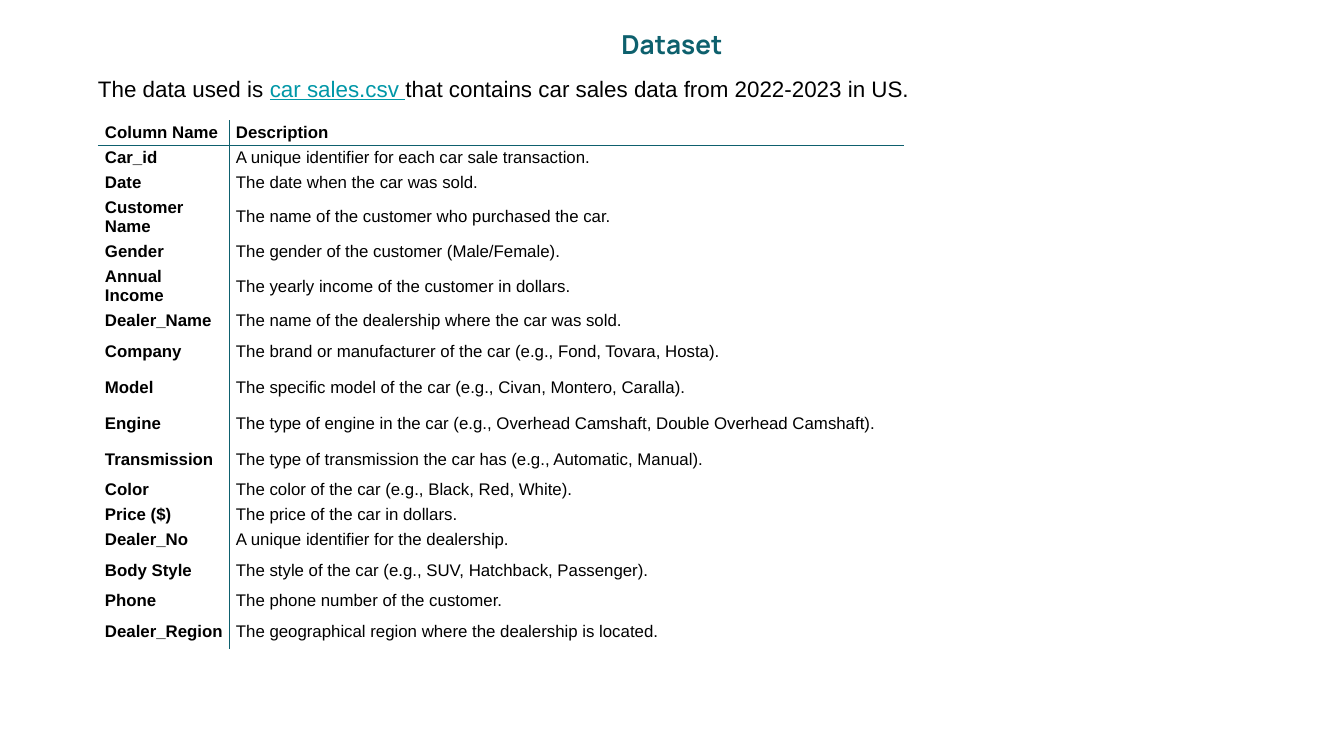
import pptx
import pptx.util
import pptx.dml.color
import pptx.enum.text
import pptx.oxml

COLORS = {"title": "0D606D", "rule": "0E606E", "link": "0097A7", "text": "000000"}
EMU_PER_PX = 9144000 / 1344
SHORT, TALL, DOUBLE = 25, 36, 44
FIELDS = [
    ("Column Name", "Description", SHORT),
    ("Car_id", "A unique identifier for each car sale transaction.", SHORT),
    ("Date", "The date when the car was sold.", SHORT),
    ("Customer Name", "The name of the customer who purchased the car.", DOUBLE),
    ("Gender", "The gender of the customer (Male/Female).", SHORT),
    ("Annual Income", "The yearly income of the customer in dollars.", DOUBLE),
    ("Dealer_Name", "The name of the dealership where the car was sold.", SHORT),
    ("Company", "The brand or manufacturer of the car (e.g., Fond, Tovara, Hosta).", TALL),
    ("Model", "The specific model of the car (e.g., Civan, Montero, Caralla).", TALL),
    ("Engine", "The type of engine in the car (e.g., Overhead Camshaft, Double Overhead Camshaft).", TALL),
    ("Transmission", "The type of transmission the car has (e.g., Automatic, Manual).", TALL),
    ("Color", "The color of the car (e.g., Black, Red, White).", SHORT),
    ("Price ($)", "The price of the car in dollars.", SHORT),
    ("Dealer_No", "A unique identifier for the dealership.", SHORT),
    ("Body Style", "The style of the car (e.g., SUV, Hatchback, Passenger).", TALL),
    ("Phone", "The phone number of the customer.", SHORT),
    ("Dealer_Region", "The geographical region where the dealership is located.", TALL),
]


def px(length):
    """Turn pixels into EMU."""
    return pptx.util.Emu(round(length * EMU_PER_PX))


def set_all(target, values):
    """Set every attribute named in a dict of format values."""
    for name, value in values.items():
        setattr(target, name, value)


def add_span(para, text, color="text", size=12, **font):
    """Add one formatted run to a paragraph."""
    span = para.add_run()
    span.text = text
    set_all(span.font, {"name": "Arial", "size": pptx.util.Pt(size), **font})
    span.font.color.rgb = pptx.dml.color.RGBColor.from_string(COLORS[color])


def add_text_box(page, box, margin_x, margin_y):
    """Add a wrapping text box and return its first paragraph."""
    frame = page.shapes.add_textbox(*map(px, box)).text_frame
    set_all(frame, {
        "word_wrap": True,
        "margin_left": px(margin_x), "margin_right": px(margin_x),
        "margin_top": px(margin_y), "margin_bottom": px(margin_y),
    })
    return frame.paragraphs[0]


def add_title(page, box):
    """Place the centred heading."""
    para = add_text_box(page, box, 13, 13)
    para.alignment = pptx.enum.text.PP_ALIGN.CENTER
    add_span(para, "Dataset", "title", 14, name="Manrope", bold=True)


def add_intro(page, box):
    """Place the sentence that names the data file."""
    para = add_text_box(page, box, 13, 7)
    add_span(para, "The data used is ")
    add_span(para, "car sales.csv ", "link", underline=True)
    add_span(para, "that contains car sales data from 2022-2023 in US.")


def set_borders(cell, ruled):
    """Rule the given sides of a cell and clear the others."""
    namespace = "http://schemas.openxmlformats.org/drawingml/2006/main"
    for side in "LRTB":
        fill = "<a:noFill/>"
        if side in ruled:
            fill = f'<a:solidFill><a:srgbClr val="{COLORS["rule"]}"/></a:solidFill>'
        line = f'<a:ln{side} xmlns:a="{namespace}" w="3175">{fill}</a:ln{side}>'
        cell._tc.get_or_add_tcPr().append(pptx.oxml.parse_xml(line))


def add_field_table(page, box):
    """Place the table of columns and their descriptions."""
    table = page.shapes.add_table(len(FIELDS), 2, *map(px, box)).table
    set_all(table, {"first_row": False, "horz_banding": False})
    name_width = 131
    table.columns[0].width = px(name_width)
    table.columns[1].width = px(box[2] - name_width)
    for row, (name, description, height) in enumerate(FIELDS):
        table.rows[row].height = px(height)
        for column, text in enumerate((name, description)):
            cell = table.cell(row, column)
            set_all(cell, {
                "margin_left": px(7), "margin_right": px(6),
                "margin_top": px(2), "margin_bottom": px(2),
                "vertical_anchor": pptx.enum.text.MSO_ANCHOR.MIDDLE,
            })
            set_borders(cell, "RL"[column] + {0: "B", 1: "T"}.get(row, ""))
            cell.fill.background()
            add_span(cell.text_frame.paragraphs[0], text, size=9,
                     bold=row == 0 or column == 0)


def main():
    """Build and save the deck."""
    deck = pptx.Presentation()
    set_all(deck, {"slide_width": px(1344), "slide_height": px(756)})
    page = deck.slides.add_slide(deck.slide_layouts[6])
    add_title(page, (269, 15, 806, 85))
    add_field_table(page, (98, 120, 806, sum(field[2] for field in FIELDS)))
    add_intro(page, (85, 68, 857, 40))
    deck.save("out.pptx")


if __name__ == "__main__":
    main()
